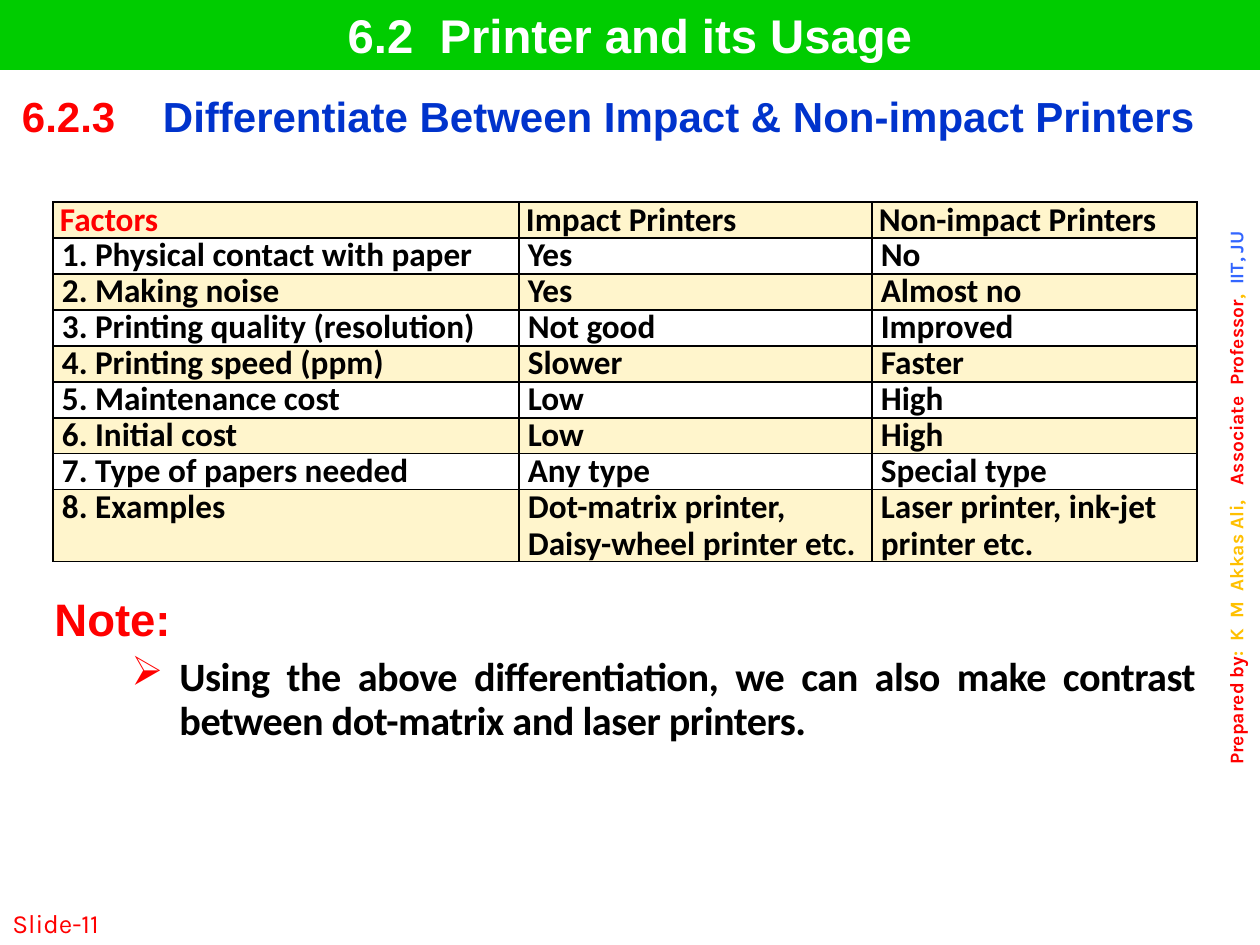
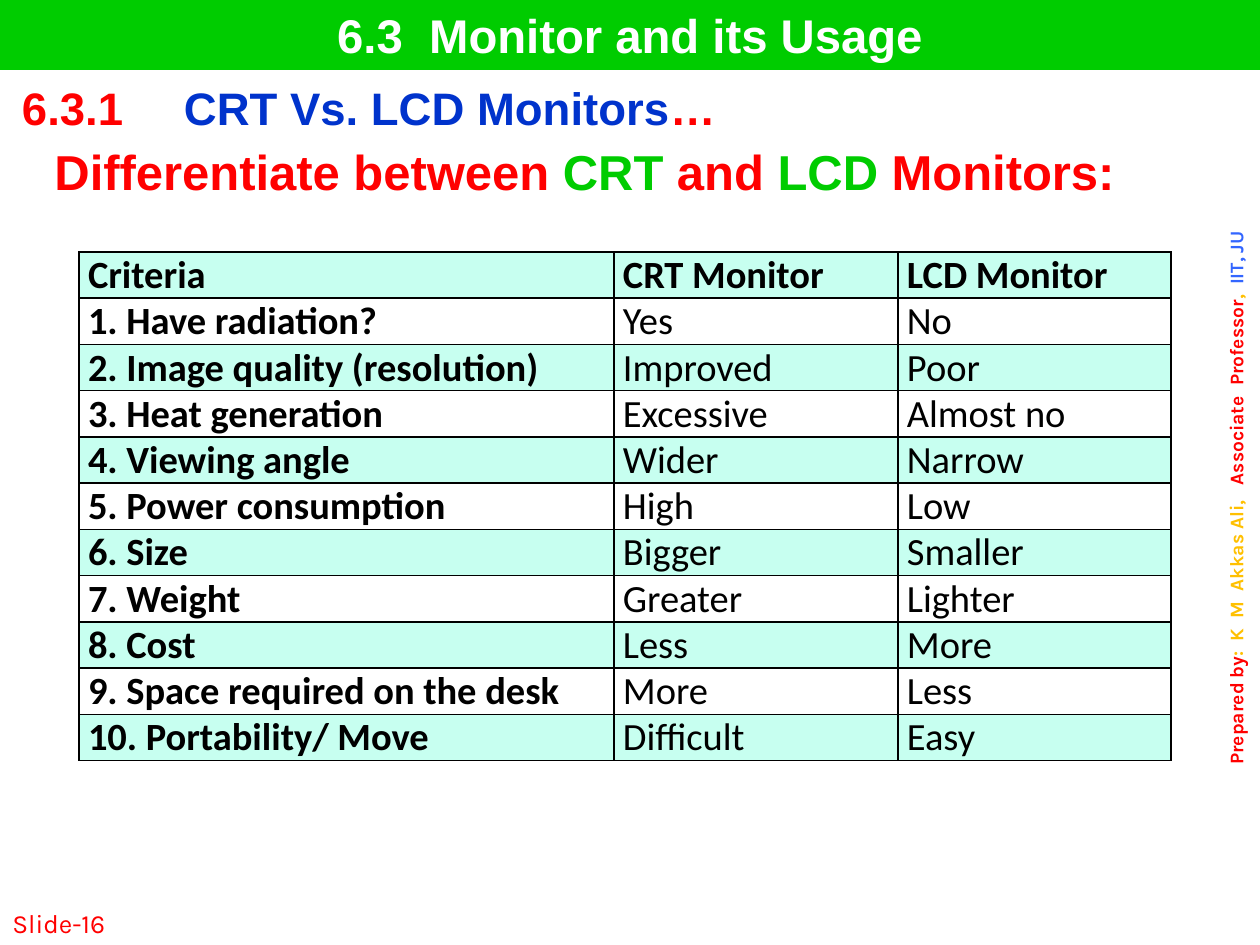
from dataclasses import dataclass
from itertools import chain

from lxml.etree import SubElement
from pptx import Presentation
from pptx.dml.color import RGBColor
from pptx.enum.text import MSO_ANCHOR as Anchor, MSO_AUTO_SIZE as AutoSize, PP_ALIGN as Align
from pptx.oxml.ns import qn
from pptx.util import Emu, Pt

EMU_PER_PX = 914400 / 126
SLIDE_WIDTH, SLIDE_HEIGHT = 1260, 945
TITLE_ONLY = 5
NO_STYLE = "{2D5ABB26-0587-4C30-8999-92F81FD0307C}"


@dataclass(frozen=True)
class Theme:
    green: str = "00CC00"
    red: str = "FF0000"
    blue: str = "0033CC"
    gold: str = "FFC000"
    sky: str = "3366FF"
    black: str = "000000"
    white: str = "FFFFFF"
    cream: str = "FFF5CC"
    mint: str = "C7FFF0"
    heading_font: str = "Arial"
    body_font: str = "Calibri"
    label_font: str = "Karla"
    title_size: int = 27
    printer_heading_size: int = 24
    monitor_heading_size: int = 26
    question_size: int = 28
    note_title_size: int = 26
    note_size: int = 23
    printer_table_size: int = 19
    monitor_table_size: int = 22
    footer_size: int = 15
    credit_size: int = 11


THEME = Theme()


def px(length):
    return Emu(round(length * EMU_PER_PX))


def place(box):
    return [px(length) for length in box]


def add_bullet(paragraph, symbol, color, left, hanging):
    properties = paragraph._p.get_or_add_pPr()
    properties.set("marL", str(px(left)))
    properties.set("indent", str(-px(hanging)))
    bullet_color = SubElement(properties, qn("a:buClr"))
    SubElement(bullet_color, qn("a:srgbClr"), val=color)
    SubElement(properties, qn("a:buSzPct"), val="101000")
    SubElement(properties, qn("a:buChar"), char=symbol)


def write(paragraph, text, *, size, font, color, bold=False, align=Align.LEFT,
          line_spacing=1.0, before=0, after=0, spacing=0):
    paragraph.alignment = align
    paragraph.line_spacing = line_spacing
    paragraph.space_before, paragraph.space_after = Pt(before), Pt(after)
    run = paragraph.add_run()
    run.text = text
    run.font.size = Pt(size)
    run.font.name = font
    run.font.bold = bold
    run.font.color.rgb = RGBColor.from_string(color)
    if spacing:
        run.font._element.set("spc", str(round(spacing * 100)))


def write_runs(paragraph, runs, **style):
    for text, color in runs:
        write(paragraph, text, color=color, **style)


def add_text_box(slide, box, anchor=Anchor.TOP):
    frame = slide.shapes.add_textbox(*place(box)).text_frame
    frame.word_wrap = True
    frame.vertical_anchor = anchor
    return frame


def add_plain_table(slide, box, row_heights, column_widths):
    frame = slide.shapes.add_table(len(row_heights), len(column_widths), *place(box))
    table = frame.table
    table.first_row = table.horz_banding = False
    frame._element.find(".//" + qn("a:tableStyleId")).text = NO_STYLE
    for row, height in zip(table.rows, row_heights):
        row.height = px(height)
    for column, width in zip(table.columns, column_widths):
        column.width = px(width)
    return table


def set_cell_margins(cell, side):
    cell.margin_left = cell.margin_right = px(side)
    cell.margin_top = cell.margin_bottom = 0


def add_cell_borders(cell):
    properties = cell._tc.get_or_add_tcPr()
    for edge in ("a:lnL", "a:lnR", "a:lnT", "a:lnB"):
        line = SubElement(properties, qn(edge), w=str(Pt(1)))
        fill = SubElement(line, qn("a:solidFill"))
        SubElement(fill, qn("a:srgbClr"), val=THEME.black)


def set_title(slide, number, text, box):
    title = slide.shapes.title
    title.left, title.top, title.width, title.height = place(box)
    title.fill.solid()
    title.fill.fore_color.rgb = RGBColor.from_string(THEME.green)
    frame = title.text_frame
    frame.auto_size = AutoSize.NONE
    frame.vertical_anchor = Anchor.MIDDLE
    style = dict(size=THEME.title_size, font=THEME.heading_font,
                 color=THEME.white, bold=True, align=Align.CENTER)
    paragraph = frame.paragraphs[0]
    write(paragraph, number, **style)
    write(paragraph, " ", spacing=7.5, **style)
    write(paragraph, text, **style)


def add_credit(slide, box):
    frame = add_text_box(slide, box)
    frame._txBody.bodyPr.set("vert", "vert270")
    style = dict(size=THEME.credit_size, font=THEME.label_font,
                 bold=True, align=Align.CENTER)
    paragraph = frame.paragraphs[0]
    parts = (
        ("Prepared by", THEME.red, 0), (":", THEME.gold, 3),
        ("K", THEME.gold, 3), ("M", THEME.gold, 3),
        ("Akkas Ali,", THEME.gold, 6), ("Associate", THEME.red, 3),
        ("Professor", THEME.red, 0), (",", THEME.gold, 3),
        ("IIT, JU", THEME.sky, 0),
    )
    for text, color, gap in parts:
        write(paragraph, text, color=color, **style)
        if gap:
            write(paragraph, " ", color=color, spacing=gap, **style)


def add_footer(slide, number, box):
    frame = add_text_box(slide, box, Anchor.BOTTOM)
    write(frame.paragraphs[0], f"Slide-{number}", size=THEME.footer_size,
          font=THEME.label_font, color=THEME.red)


def add_section_heading(slide, number, runs, box, number_width, size):
    width, height = box[2:]
    table = add_plain_table(slide, box, [height], [number_width, width - number_width])
    for cell, cell_runs in zip(table.rows[0].cells, ([(number, THEME.red)], runs)):
        set_cell_margins(cell, 9)
        write_runs(cell.text_frame.paragraphs[0], cell_runs, size=size,
                   font=THEME.heading_font, bold=True, align=Align.JUSTIFY)


def add_comparison(slide, rows, box, column_widths, band, size, *, last_row_lines=1,
                   header_color=THEME.black, header_margin=9, body_bold=False,
                   body_align=Align.JUSTIFY, line_spacing=1.0):
    line_height = box[3] / (len(rows) - 1 + last_row_lines)
    heights = [line_height] * (len(rows) - 1) + [line_height * last_row_lines]
    table = add_plain_table(slide, box, heights, column_widths)
    for row_index, row in enumerate(rows):
        header = row_index == 0
        for column_index, text in enumerate(row):
            first = column_index == 0
            cell = table.cell(row_index, column_index)
            set_cell_margins(cell, header_margin if header else 9)
            add_cell_borders(cell)
            if row_index % 2:
                cell.fill.background()
            else:
                cell.fill.solid()
                cell.fill.fore_color.rgb = RGBColor.from_string(band)
            write(cell.text_frame.paragraphs[0], text, size=size, font=THEME.body_font,
                  color=header_color if header and first else THEME.black,
                  bold=header or first or body_bold,
                  align=Align.JUSTIFY if header else body_align,
                  line_spacing=line_spacing)


def add_note(slide, title, text, box):
    frame = add_text_box(slide, box)
    style = dict(bold=True, align=Align.JUSTIFY, line_spacing=0.9)
    write(frame.paragraphs[0], title, size=THEME.note_title_size,
          font=THEME.heading_font, color=THEME.red, **style)
    paragraph = frame.add_paragraph()
    add_bullet(paragraph, "➢", THEME.red, left=125, hanging=48)
    write(paragraph, text, size=THEME.note_size, font=THEME.body_font,
          color=THEME.black, before=6, after=6, spacing=-0.3, **style)


def add_question(slide, runs, box):
    paragraph = add_text_box(slide, box).paragraphs[0]
    write_runs(paragraph, runs, size=THEME.question_size, font=THEME.heading_font,
               bold=True, align=Align.JUSTIFY, line_spacing=0.9)


def add_lesson_slide(presentation, section, title, number):
    slide = presentation.slides.add_slide(presentation.slide_layouts[TITLE_ONLY])
    add_credit(slide, (1218, 62, 49, 872))
    set_title(slide, section, title, (0, 0, SLIDE_WIDTH, 70))
    add_footer(slide, number, (0, 882, 262, 63))
    return slide


def build_printer_slide(presentation):
    slide = add_lesson_slide(presentation, "6.2", "Printer and its Usage", 11)
    add_section_heading(
        slide, "6.2.3",
        [("Differentiate Between Impact & Non-impact Printers", THEME.blue)],
        (13, 94, 1226, 50), 141, THEME.printer_heading_size)
    rows = (
        ("Factors", "Impact Printers", "Non-impact Printers"),
        ("1. Physical contact with paper", "Yes", "No"),
        ("2. Making noise", "Yes", "Almost no"),
        ("3. Printing quality (resolution)", "Not good", "Improved"),
        ("4. Printing speed (ppm)", "Slower", "Faster"),
        ("5. Maintenance cost", "Low", "High"),
        ("6. Initial cost", "Low", "High"),
        ("7. Type of papers needed", "Any type", "Special type"),
        ("8. Examples", "Dot-matrix printer, Daisy-wheel printer etc.",
         "Laser printer, ink-jet printer etc."),
    )
    add_comparison(slide, rows, (53, 202, 1144, 360), (466, 353, 325), THEME.cream,
                   THEME.printer_table_size, last_row_lines=2, header_color=THEME.red,
                   header_margin=7, body_bold=True, body_align=Align.LEFT,
                   line_spacing=0.9)
    add_note(slide, "Note:",
             "Using the above differentiation, we can also make contrast "
             "between dot-matrix and laser printers.", (42, 591, 1166, 165))


def build_monitor_slide(presentation):
    slide = add_lesson_slide(presentation, "6.3", "Monitor and its Usage", 16)
    add_section_heading(
        slide, "6.3.1", [("CRT Vs. LCD Monitors", THEME.blue), ("…", THEME.red)],
        (13, 84, 1163, 54), 162, THEME.monitor_heading_size)
    question = (("Differentiate between ", "CRT"), (" and ", "LCD"))
    pairs = (((text, THEME.red), (kind, THEME.green)) for text, kind in question)
    add_question(slide, [*chain.from_iterable(pairs), (" Monitors:", THEME.red)],
                 (42, 142, 1166, 68))
    rows = (
        ("Criteria", "CRT Monitor", "LCD Monitor"),
        ("1. Have radiation?", "Yes", "No"),
        ("2. Image quality (resolution)", "Improved", "Poor"),
        ("3. Heat generation", "Excessive", "Almost no"),
        ("4. Viewing angle", "Wider", "Narrow"),
        ("5. Power consumption", "High", "Low"),
        ("6. Size", "Bigger", "Smaller"),
        ("7. Weight", "Greater", "Lighter"),
        ("8. Cost", "Less", "More"),
        ("9. Space required on the desk", "More", "Less"),
        ("10. Portability/ Move", "Difficult", "Easy"),
    )
    add_comparison(slide, rows, (79, 252, 1092, 508), (535, 284, 273), THEME.mint,
                   THEME.monitor_table_size)


def main():
    presentation = Presentation()
    presentation.slide_width = px(SLIDE_WIDTH)
    presentation.slide_height = px(SLIDE_HEIGHT)
    build_printer_slide(presentation)
    build_monitor_slide(presentation)
    presentation.save("out.pptx")


if __name__ == "__main__":
    main()
